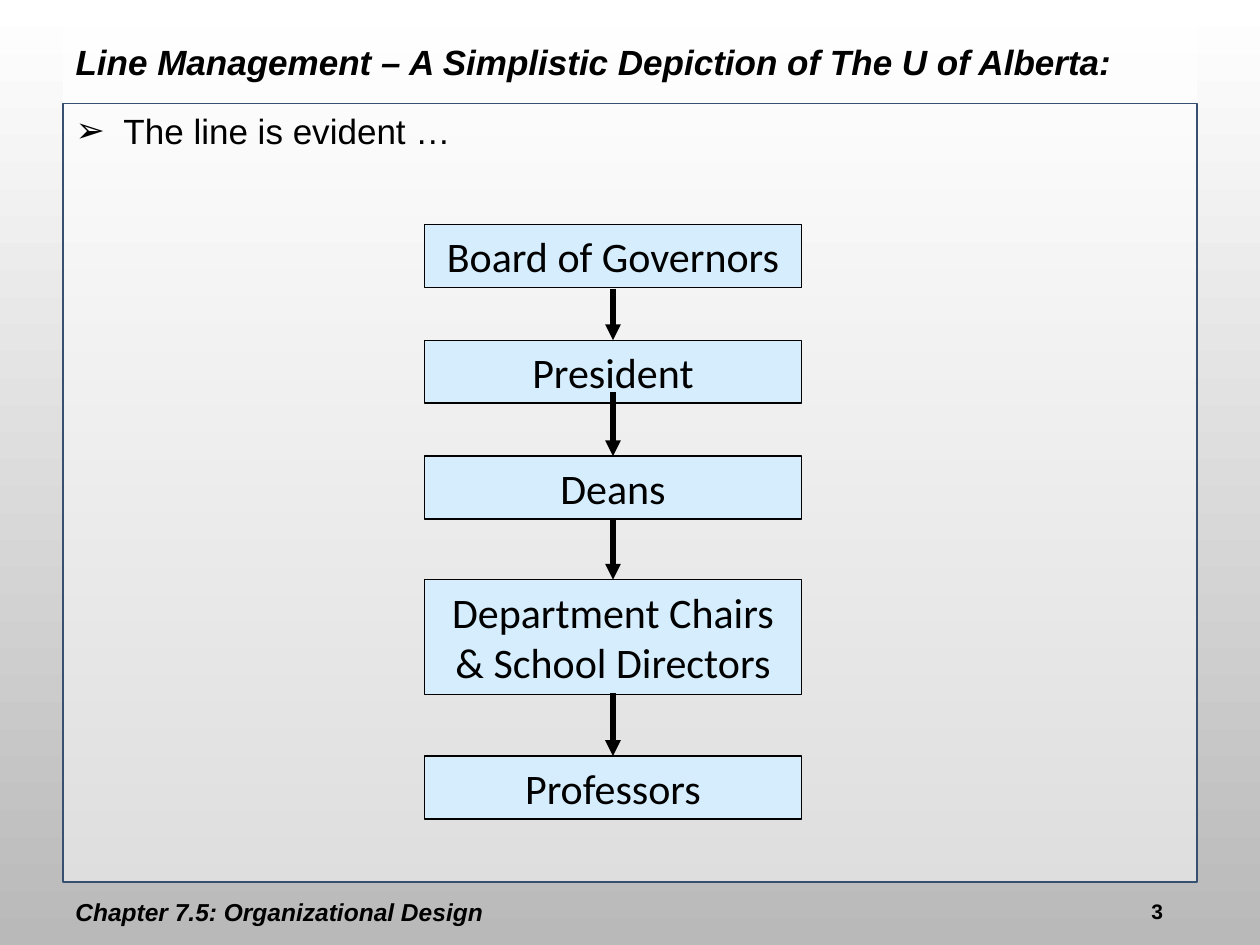
from lxml.etree import SubElement
from pptx import Presentation
from pptx.dml.color import RGBColor
from pptx.enum.shapes import MSO_CONNECTOR, MSO_SHAPE
from pptx.enum.text import MSO_ANCHOR, MSO_AUTO_SIZE, PP_ALIGN
from pptx.oxml.ns import qn
from pptx.util import Inches, Pt

BLACK = "000000"
WHITE = "FFFFFF"
HEADING = {"name": "Arial", "size": Pt(20), "bold": True, "italic": True}
LIST_ITEM = {"name": "Arial", "size": Pt(20), "bold": False}
BOX_LABEL = {"name": "Calibri", "size": Pt(24)}
FOOTER = {"name": "Arial", "size": Pt(14), "bold": True, "italic": True}
PAGE_NUMBER = {"name": "Arial", "size": Pt(12), "bold": True}

BOX_LEFT, BOX_WIDTH = 3.37, 2.99
LEVELS = [
    ("Board of Governors", 1.78, 0.5),
    ("President", 2.7, 0.5),
    ("Deans", 3.62, 0.5),
    ("Department Chairs & School Directors", 4.6, 0.91),
    ("Professors", 6, 0.5),
]
ARROW_STARTS = [2.29, 3.11, 4.12, 5.5]


def color(value):
    """Turn a hex string into a colour."""
    return RGBColor.from_string(value)


def place(shape, *box):
    """Move and size a shape in inches."""
    for name, value in zip(("left", "top", "width", "height"), box):
        setattr(shape, name, Inches(value))


def write(shape, text, formats, alignment=PP_ALIGN.LEFT, anchor=MSO_ANCHOR.MIDDLE, spacing=1.0):
    """Write one formatted paragraph and return it."""
    frame = shape.text_frame
    frame.word_wrap = True
    frame.auto_size = MSO_AUTO_SIZE.NONE
    frame.vertical_anchor = anchor
    paragraph = frame.paragraphs[0]
    paragraph.alignment = alignment
    paragraph.line_spacing = spacing
    paragraph.space_before = Pt(0)
    run = paragraph.add_run()
    run.text = text
    for name, value in formats.items():
        setattr(run.font, name, value)
    run.font.color.rgb = color(BLACK)
    return paragraph


def paint(shape, fill, opacity=100, line=None):
    """Fill a shape, with an optional thin outline."""
    shape.fill.solid()
    shape.fill.fore_color.rgb = color(fill)
    if opacity < 100:
        rgb = shape.fill._xPr.find(qn("a:solidFill")).find(qn("a:srgbClr"))
        SubElement(rgb, qn("a:alpha"), val=str(opacity * 1000))
    if line:
        shape.line.color.rgb = color(line)
        shape.line.width = Pt(0.75)


def add_bullet(paragraph, character):
    """Give a paragraph a hanging bullet."""
    properties = paragraph._p.get_or_add_pPr()
    properties.set("marL", str(Inches(0.38)))
    properties.set("indent", str(Inches(-0.38)))
    bullet_color = SubElement(properties, qn("a:buClr"))
    SubElement(bullet_color, qn("a:srgbClr"), val=BLACK)
    SubElement(properties, qn("a:buFont"), typeface="Arial")
    SubElement(properties, qn("a:buChar"), char=character)


def add_level(slide, label, top, height):
    """Add one box of the management line."""
    box = (Inches(value) for value in (BOX_LEFT, top, BOX_WIDTH, height))
    shape = slide.shapes.add_shape(MSO_SHAPE.RECTANGLE, *box)
    shape.shadow.inherit = False
    paint(shape, "D5EDFC", line=BLACK)
    write(shape, label, BOX_LABEL, PP_ALIGN.CENTER)
    shape.text_frame.auto_size = MSO_AUTO_SIZE.SHAPE_TO_FIT_TEXT


def add_arrow(slide, start, end):
    """Add a downward arrow on the centre line of the boxes."""
    center = Inches(BOX_LEFT + BOX_WIDTH / 2)
    arrow = slide.shapes.add_connector(
        MSO_CONNECTOR.STRAIGHT, center, Inches(start), center, Inches(end)
    )
    arrow.line.color.rgb = color(BLACK)
    arrow.line.width = Pt(3)
    SubElement(arrow.line._get_or_add_ln(), qn("a:tailEnd"), type="triangle")
    SubElement(arrow._element.spPr, qn("a:effectLst"))


def add_text(slide, box, text, formats, **layout):
    """Add a text box."""
    shape = slide.shapes.add_textbox(*(Inches(value) for value in box))
    write(shape, text, formats, **layout)


def set_background(slide):
    """Shade the background from white down to grey."""
    fill = slide.background.fill
    fill.gradient()
    fill.gradient_angle = 270
    for stop, value, position in zip(fill.gradient_stops, (WHITE, "B9B9B9"), (0, 1)):
        stop.color.rgb = color(value)
        stop.position = position


def main():
    """Build and save the slide."""
    presentation = Presentation()
    presentation.slide_width = Inches(10)
    presentation.slide_height = Inches(7.5)
    slide = presentation.slides.add_slide(presentation.slide_layouts[1])
    set_background(slide)

    title, body = slide.placeholders
    place(title, 0.5, 0.2, 9, 0.62)
    paint(title, WHITE, opacity=70)
    write(title, "Line Management – A Simplistic Depiction of The U of Alberta:", HEADING, spacing=0.9)
    place(body, 0.5, 0.82, 9, 6.18)
    paint(body, WHITE, opacity=50, line="355071")
    item = write(body, "The line is evident …", LIST_ITEM, anchor=MSO_ANCHOR.TOP)
    add_bullet(item, "➢")

    for level in LEVELS:
        add_level(slide, *level)
    for start, (_, end, _) in zip(ARROW_STARTS, LEVELS[1:]):
        add_arrow(slide, start, end)

    add_text(slide, (0.5, 7, 3.97, 0.5), "Chapter 7.5: Organizational Design", FOOTER, spacing=0.9)
    add_text(slide, (8.33, 7.08, 1, 0.25), "3", PAGE_NUMBER, alignment=PP_ALIGN.RIGHT, anchor=MSO_ANCHOR.TOP)
    presentation.save("out.pptx")


if __name__ == "__main__":
    main()
